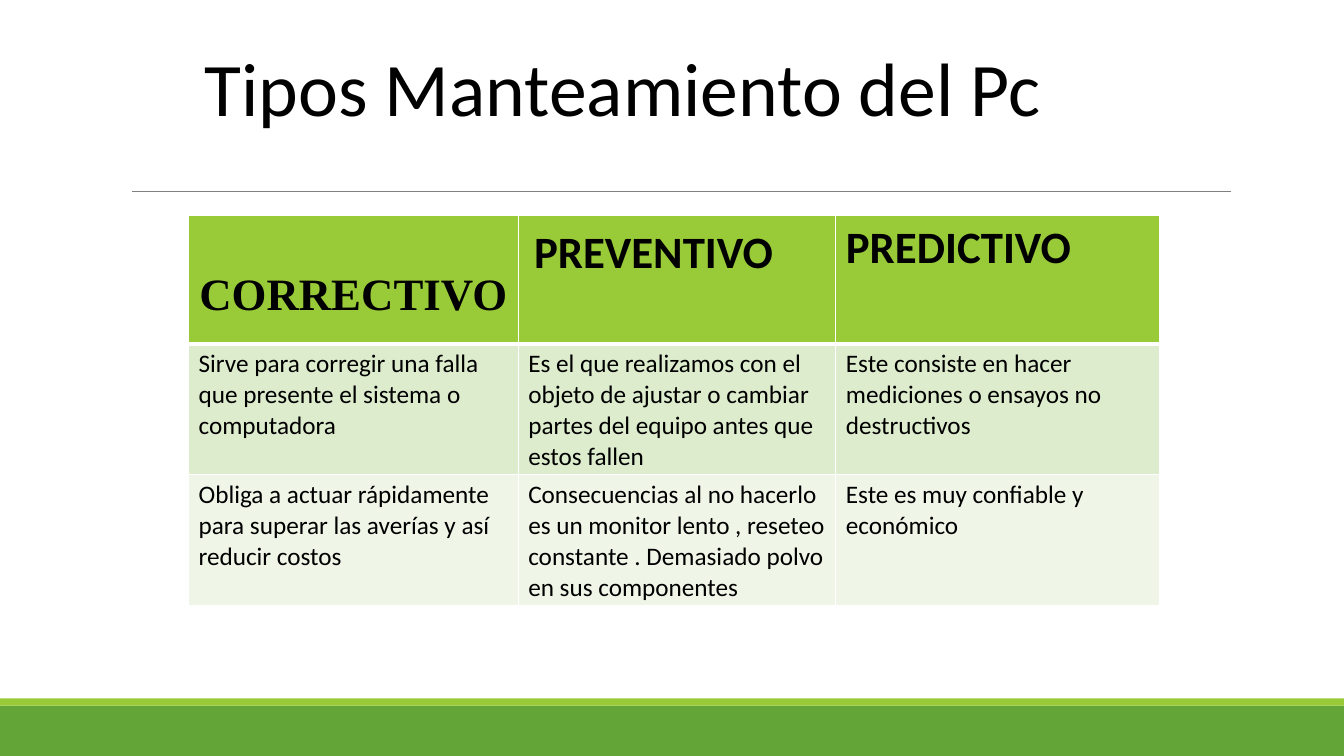
import pptx
import pptx.util
import pptx.dml.color
import pptx.enum.shapes
import pptx.enum.text
import pptx.oxml
import pptx.oxml.ns

Inches, Pt = pptx.util.Inches, pptx.util.Pt
RGBColor = pptx.dml.color.RGBColor
PP_ALIGN = pptx.enum.text.PP_ALIGN

BLACK = RGBColor(0x00, 0x00, 0x00)
WHITE = RGBColor(0xFF, 0xFF, 0xFF)
GRAY = RGBColor(0x80, 0x80, 0x80)
GREEN = RGBColor(0x63, 0xA5, 0x37)
LIME = RGBColor(0x99, 0xCB, 0x38)
PALE = RGBColor(0xDE, 0xEC, 0xCE)
PALER = RGBColor(0xEF, 0xF6, 0xE8)


class Deck:
    """Holds the style and the current slide."""
    font = "Calibri"

    def __init__(self):
        self.prs = pptx.Presentation()
        self.prs.slide_width, self.prs.slide_height = Inches(13.33), Inches(7.5)
        self.s = self.prs.slides.add_slide(self.prs.slide_layouts[5])

    def run(self, p, text, size, bold=False, font=None):
        r = p.add_run()
        r.text = text
        r.font.size, r.font.bold = Pt(size), bold
        r.font.name = font or self.font
        r.font.color.rgb = BLACK

    def band(self, top, height, color):
        sp = self.s.shapes.add_shape(pptx.enum.shapes.MSO_SHAPE.RECTANGLE, 0, Inches(top),
                                     self.prs.slide_width, Inches(height))
        sp.shadow.inherit = False
        sp.fill.solid()
        sp.fill.fore_color.rgb = color
        sp.line.fill.background()

    def rule(self, left, right, y):
        line = self.s.shapes.add_connector(pptx.enum.shapes.MSO_CONNECTOR.STRAIGHT,
                                           Inches(left), Inches(y), Inches(right), Inches(y))
        line.line.color.rgb, line.line.width = GRAY, Pt(0.5)
        pptx.oxml.ns.qn("a:effectLst")
        line._element.spPr.append(pptx.oxml.parse_xml(
            f"<a:effectLst {pptx.oxml.ns.nsdecls('a')}/>"))

    def title(self, text, left, top, width, height):
        sp = self.s.shapes.title
        sp.left, sp.top, sp.width, sp.height = map(Inches, (left, top, width, height))
        tf = sp.text_frame
        tf.word_wrap = False
        tf.auto_size = pptx.enum.text.MSO_AUTO_SIZE.SHAPE_TO_FIT_TEXT
        tf.vertical_anchor = pptx.enum.text.MSO_ANCHOR.TOP
        p = tf.paragraphs[0]
        p.alignment = PP_ALIGN.CENTER
        self.run(p, text, 54)

    def borders(self, cell, bottom):
        tcPr = cell._tc.get_or_add_tcPr()
        for i, (side, width) in enumerate(zip("LRTB", (1, 1, 1, bottom))):
            tcPr.insert(i, pptx.oxml.parse_xml(
                f'<a:ln{side} {pptx.oxml.ns.nsdecls("a")} w="{Pt(width)}">'
                f'<a:solidFill><a:srgbClr val="{WHITE}"/></a:solidFill></a:ln{side}>'))

    def table(self, rows, fills, left, top, widths, row_height):
        tb = self.s.shapes.add_table(len(rows), len(widths), Inches(left), Inches(top),
                                     Inches(sum(widths)),
                                     Inches(row_height * len(rows))).table
        for col, width in zip(tb.columns, widths):
            col.width = Inches(width)
        for i, (row, fill) in enumerate(zip(rows, fills)):
            tb.rows[i].height = Inches(row_height)
            for j, runs in enumerate(row):
                cell = tb.cell(i, j)
                cell.fill.solid()
                cell.fill.fore_color.rgb = fill
                self.borders(cell, 3 if i == 0 else 1)
                for run in runs:
                    self.run(cell.text_frame.paragraphs[0], *run)
        return tb


HEADER = [
    [(" CORRECTIVO ", 32, True, "Times New Roman")],
    [(" ", 18, True), ("PREVENTIVO", 32, True), (" ", 36, True)],
    [("PREDICTIVO", 32, True)],
]
BODY = [
    ["Sirve para corregir una falla que presente el sistema o computadora",
     "Es el que realizamos con el objeto de ajustar o cambiar partes del equipo "
     "antes que estos fallen",
     "Este consiste en hacer mediciones o ensayos no destructivos"],
    ["Obliga a actuar rápidamente para superar las averías y así reducir costos",
     "Consecuencias al no hacerlo es un monitor lento , reseteo constante . "
     "Demasiado polvo en sus componentes",
     "Este es muy confiable y económico"],
]


def main():
    deck = Deck()

    # Footer bands and rule under the title
    deck.band(7, 0.5, GREEN)
    deck.band(6.93, 0.07, LIME)
    deck.rule(1.31, 12.21, 1.9)

    # Title
    deck.title("Tipos Manteamiento del Pc", 1.87, 0.36, 8.61, 1.01)

    # Maintenance types
    rows = [HEADER] + [[[(text, 18)] for text in row] for row in BODY]
    tb = deck.table(rows, (LIME, PALE, PALER), 1.87, 2.14, (3.27, 3.15, 3.21), 1.27)
    tb.cell(0, 0).text_frame.paragraphs[0].alignment = PP_ALIGN.CENTER

    deck.prs.save("out.pptx")


if __name__ == "__main__":
    main()
